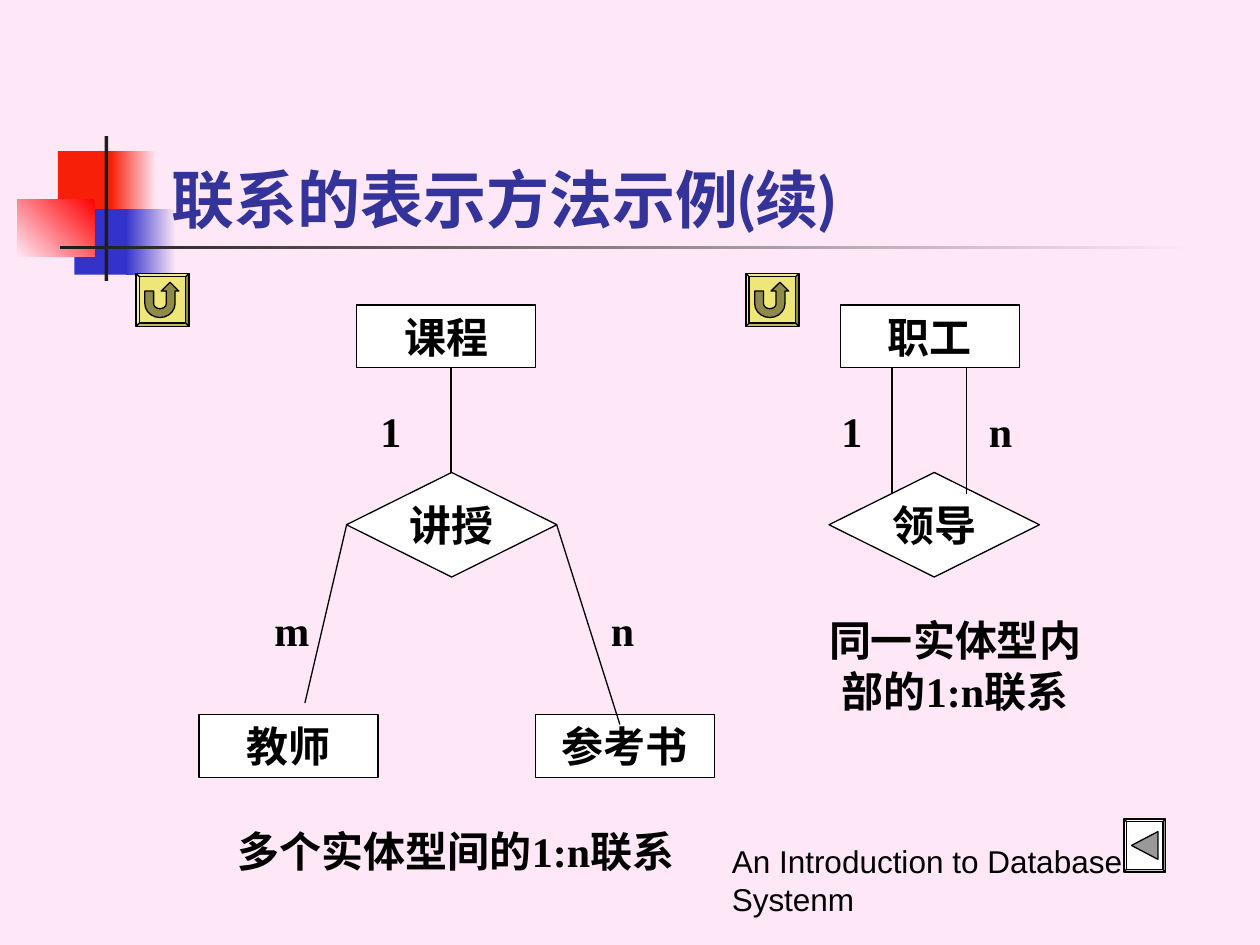
from math import cos, pi, sin

from lxml import etree
from pptx import Presentation
from pptx import util as u
from pptx.dml.color import RGBColor
from pptx.enum import shapes, text
from pptx.oxml.ns import qn

HUES = {
    "back": "FEE8F7", "red": "F81F08", "pure": "FF0000", "blue": "3333CC",
    "dark": "1C1C1C", "title": "333399", "ink": "000000", "white": "FFFFFF",
    "gold": "EEE678", "olive": "8F8A48", "gray": "999999",
}
FORM = shapes.MSO_SHAPE
MID = text.PP_ALIGN.CENTER
LEFT = text.PP_ALIGN.LEFT
TOP = text.MSO_ANCHOR.TOP
BASE = text.MSO_ANCHOR.BOTTOM


def hue(name):
    return RGBColor.from_string(HUES[name])


def arc(x, y, rx, ry, start, end, steps=10):
    """Points on an ellipse between two angles in units of pi."""
    turns = [pi * (start + (end - start) * i / steps) for i in range(steps + 1)]
    return [(x + rx * cos(t), y + ry * sin(t)) for t in turns]


# Icon outlines, measured from the corner of their button
TURN = ([(.07, .14), (.14, .14)] + arc(.19, .24, .05, .04, 1, 0)
        + [(.24, .14), (.2, .14), (.27, .07), (.34, .14), (.31, .14)]
        + arc(.19, .24, .12, .11, 0, 1))
PREV = [(.06, .21), (.27, .1), (.27, .32)]


class Deck:
    """Holds the text style and the current slide."""
    face, size = "Times New Roman", 24

    def __init__(self, slide):
        self.slide = slide
        self.items = slide.shapes
        slide.background.fill.solid()
        slide.background.fill.fore_color.rgb = hue("back")

    def letter(self, shape, words, align=MID, anchor=TOP, wrap=True,
               face=face, size=size, color="ink", bold=True):
        frame = shape.text_frame
        frame.word_wrap = wrap
        frame.vertical_anchor = anchor
        frame.text = words
        para = frame.paragraphs[0]
        para.alignment = align
        font = para.font
        font.name, font.size, font.bold = face, u.Pt(size), bold
        font.color.rgb = hue(color)

    def label(self, box, words, **style):
        self.letter(self.items.add_textbox(*map(u.Inches, box)), words, **style)

    def paint(self, shape, fill, line="ink"):
        shape.shadow.inherit = False
        shape.fill.solid()
        shape.fill.fore_color.rgb = hue(fill)
        if line:
            shape.line.color.rgb = hue(line)
            shape.line.width = u.Pt(0.75)
        else:
            shape.line.fill.background()

    def shape(self, form, box, fill="white", line="ink"):
        shape = self.items.add_shape(form, *map(u.Inches, box))
        self.paint(shape, fill, line)
        return shape

    def fade(self, box, first, last, angle):
        shape = self.shape(FORM.RECTANGLE, box, first, None)
        shape.fill.gradient()
        shape.fill.gradient_angle = angle
        for stop, name, place in zip(shape.fill.gradient_stops, (first, last), (0, 1)):
            stop.color.rgb = hue(name)
            stop.position = place

    def entity(self, x, y, words):
        self.letter(self.shape(FORM.RECTANGLE, (x, y, 1.42, 0.5)), words)

    def relation(self, x, y, words):
        self.letter(self.shape(FORM.DIAMOND, (x, y, 1.67, 0.83)), words,
                    anchor=text.MSO_ANCHOR.MIDDLE, wrap=False)

    def link(self, *ends):
        line = self.items.add_connector(shapes.MSO_CONNECTOR.STRAIGHT,
                                        *map(u.Inches, ends))
        line.line.color.rgb = hue("ink")
        line.line.width = u.Pt(0.75)
        etree.SubElement(line._element.spPr, qn("a:effectLst"))

    def button(self, x, y, wide, fill, icon, tint):
        high = 0.42
        bevel = self.shape(FORM.BEVEL, (x, y, wide, high), fill)
        bevel.adjustments[0] = 0.06
        dots = [(u.Inches(x + a), u.Inches(y + b)) for a, b in icon]
        pen = self.items.build_freeform(*dots[0])
        pen.add_line_segments(dots[1:], close=True)
        self.paint(pen.convert_to_shape(), tint)


def main():
    show = Presentation()
    show.slide_width, show.slide_height = u.Inches(10), u.Inches(7.5)
    deck = Deck(show.slides.add_slide(show.slide_layouts[6]))

    # Title ornament
    deck.shape(FORM.RECTANGLE, (0.46, 1.2, 0.48, 0.52), "red", None)
    deck.fade((0.88, 1.2, 0.36, 0.52), "back", "red", 180)
    deck.shape(FORM.RECTANGLE, (0.59, 1.66, 0.46, 0.52), "blue", None)
    deck.fade((1, 1.66, 0.4, 0.52), "back", "blue", 180)
    deck.fade((0.14, 1.58, 0.61, 0.46), "pure", "back", 225)
    deck.shape(FORM.RECTANGLE, (0.83, 1.08, 0.03, 1.15), "dark", None)
    deck.fade((0.48, 1.95, 9, 0.03), "back", "dark", 180)
    deck.label((1.26, 0.67, 8.52, 1.25), "联系的表示方法示例(续)", align=LEFT,
               anchor=BASE, face="Lato", size=36, color="title")

    # Entities, relations and links
    for x, y, words in ((6.67, 2.42, "职工"), (2.83, 2.42, "课程"),
                        (1.58, 5.67, "教师"), (4.25, 5.67, "参考书")):
        deck.entity(x, y, words)
    for x, words in ((6.58, "领导"), (2.75, "讲授")):
        deck.relation(x, 3.75, words)
    for ends in ((7.08, 3.92, 7.08, 2.92), (7.67, 2.92, 7.67, 3.92),
                 (3.58, 3.75, 3.58, 2.92), (2.75, 4.17, 2.42, 5.58),
                 (4.42, 4.17, 4.92, 5.75)):
        deck.link(*ends)
    for x, y, words in ((6.58, 3.17, "1"), (7.75, 3.17, "n"), (2.92, 3.17, "1"),
                        (2.08, 4.75, "m"), (4.75, 4.75, "n")):
        deck.label((x, y, 0.42, 0.5), words, align=LEFT)

    # Captions
    deck.label((6.33, 4.83, 2.5, 0.9), "同一实体型内部的1:n联系")
    deck.label((1.58, 6.5, 4.08, 0.5), "多个实体型间的1:n联系")

    # Buttons and footer
    deck.button(8.92, 6.5, 0.33, "white", PREV, "gray")
    for x in (5.92, 1.08):
        deck.button(x, 2.17, 0.42, "gold", TURN, "olive")
    deck.label((5.71, 6.83, 4.04, 0.5), "An Introduction to Database Systenm",
               align=LEFT, anchor=BASE, face="Arial", size=18, bold=False)

    show.save("out.pptx")


if __name__ == "__main__":
    main()
